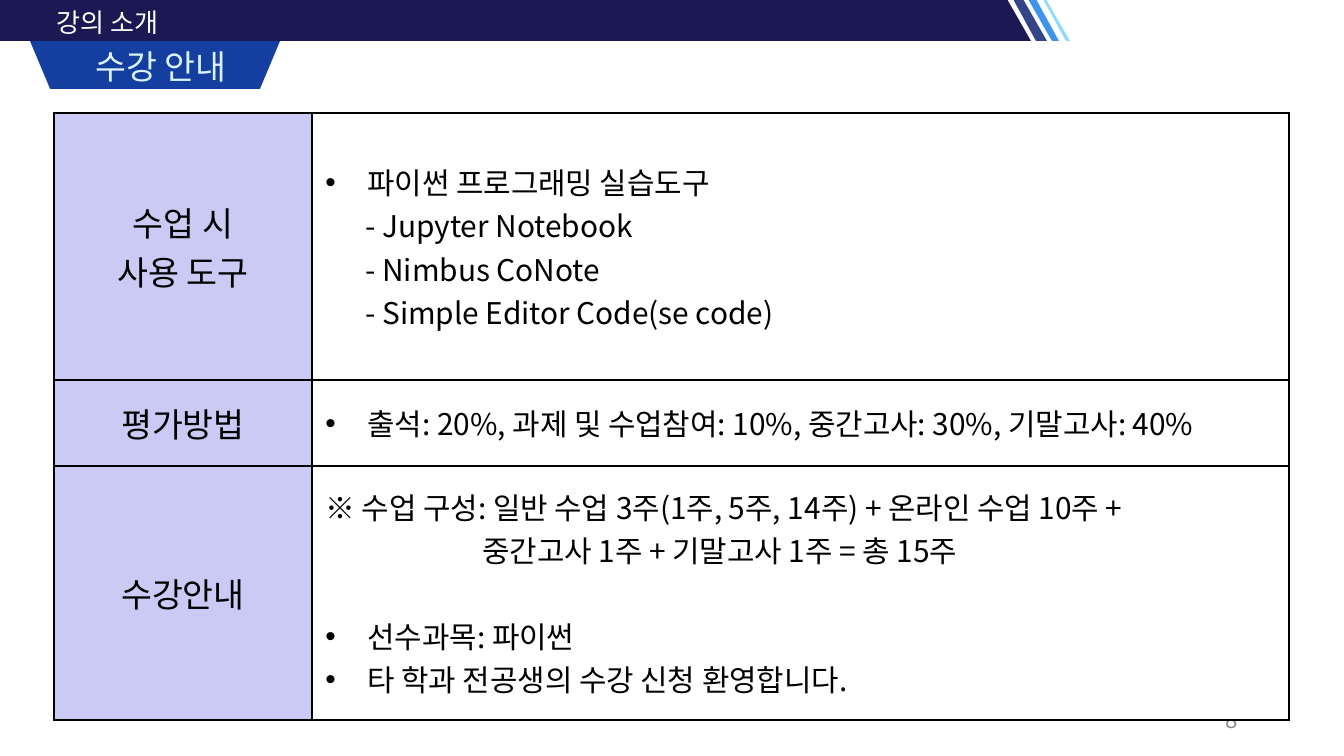
"""Build the course guide slide with its header and three-row table."""
from lxml import etree
from pptx import Presentation
from pptx.dml.color import RGBColor
from pptx.enum.shapes import MSO_SHAPE
from pptx.enum.text import MSO_ANCHOR, PP_ALIGN
from pptx.oxml.ns import qn
from pptx.util import Pt

PX = 914400 / 134.4
FONT = "Noto Sans CJK KR"
LEFT, MID, RIGHT = PP_ALIGN.LEFT, PP_ALIGN.CENTER, PP_ALIGN.RIGHT
CENTER = MSO_ANCHOR.MIDDLE
RECT, TRAP = MSO_SHAPE.RECTANGLE, MSO_SHAPE.TRAPEZOID
HEX = {
    "navy": "1B1853", "slate": "334587", "sky": "3E94EC", "ice": "8FDBFD",
    "blue": "143FA1", "pale": "DAF3FE", "lilac": "CACAF4",
    "white": "FFFFFF", "black": "000000", "gray": "8C8C8C",
}
INK = {name: RGBColor.from_string(code) for name, code in HEX.items()}


def px(num):
    return round(num * PX)


def write(para, text, size, ink, align=LEFT, indent=0, dot=False):
    para.text = text
    para.alignment = align
    props = para._p.get_or_add_pPr()
    if indent:
        props.set("marL", str(px(indent)))
        props.set("indent", str(px(-indent if dot else 0)))
    if dot:
        etree.SubElement(props, qn("a:buFont"), typeface="Arial")
        etree.SubElement(props, qn("a:buChar"), char="•")
    font = para.font
    font.size, font.name = Pt(size), FONT
    font.color.rgb = INK[ink]
    etree.SubElement(props.find(qn("a:defRPr")), qn("a:ea"), typeface=FONT)


deck = Presentation()
deck.slide_width, deck.slide_height = px(1344), px(756)
slide = deck.slides.add_slide(deck.slide_layouts[6])
shapes = slide.shapes

bar = shapes.add_shape(RECT, 0, px(-1), px(989), px(42))
parts = [(bar, "navy")]
stripes = [
    ("navy", 742, 1007, 1031, 742),
    ("slate", 1013, 1023, 1047, 1036),
    ("sky", 1028, 1036, 1059, 1052),
    ("ice", 1043, 1046, 1070, 1066),
]
for ink, start, end, low, back in stripes:
    path = shapes.build_freeform(start, -1, scale=PX)
    path.add_line_segments([(end, -1), (low, 41), (back, 41)])
    parts.append((path.convert_to_shape(), ink))
tab = shapes.add_shape(TRAP, px(30), px(41), px(250), px(48))
tab.rotation = 180
tab.adjustments[0] = 0.42
parts.append((tab, "blue"))
for part, ink in parts:
    part.shadow.inherit = False
    part.fill.solid()
    part.fill.fore_color.rgb = INK[ink]
    part.line.fill.background()

labels = [
    ("강의 소개", 43, 0, 129, 45, 14, "white", LEFT),
    ("8", 949, 700, 302, 40, 12, "gray", RIGHT),
    ("수강 안내", 82, 39, 175, 54, 18, "pale", LEFT),
]
for text, left, top, width, height, size, ink, align in labels:
    box = shapes.add_textbox(px(left), px(top), px(width), px(height))
    box.text_frame.word_wrap = align == RIGHT
    box.text_frame.vertical_anchor = CENTER
    write(box.text_frame.paragraphs[0], text, size, ink, align)

rows = [
    (267, ["수업 시", "사용 도구"], [
        ("파이썬 프로그래밍 실습도구", 42, True),
        ("- Jupyter Notebook", 40, False),
        ("- Nimbus CoNote", 40, False),
        ("- Simple Editor Code(se code)", 40, False),
    ]),
    (86, ["평가방법"], [
        ("출석: 20%, 과제 및 수업참여: 10%, 중간고사: 30%, 기말고사: 40%", 42, True),
    ]),
    (254, ["수강안내"], [
        ("※ 수업 구성: 일반 수업 3주(1주, 5주, 14주) + 온라인 수업 10주 +", 0, False),
        ("중간고사 1주 + 기말고사 1주 = 총 15주", 157, False),
        ("선수과목: 파이썬", 42, True),
        ("타 학과 전공생의 수강 신청 환영합니다.", 42, True),
    ]),
]
frame = shapes.add_table(3, 2, px(54), px(113), px(1235), px(607))
table = frame.table
table.columns[0].width, table.columns[1].width = px(258), px(977)
for row, (height, heads, notes) in enumerate(rows):
    table.rows[row].height = px(height)
    sides = [
        ([(head, 0, False) for head in heads], 18, MID, "lilac"),
        (notes, 16, LEFT, "white"),
    ]
    for col, (lines, size, align, back) in enumerate(sides):
        cell = table.cell(row, col)
        cell.vertical_anchor = CENTER
        body = cell.text_frame
        for num, (text, indent, dot) in enumerate(lines):
            para = body.add_paragraph() if num else body.paragraphs[0]
            if text.startswith("선수과목"):
                para.space_before = Pt(23)
            write(para, text, size, "black", align, indent, dot)
        props = cell._tc.get_or_add_tcPr()
        for side in ("lnL", "lnR", "lnT", "lnB"):
            edge = etree.SubElement(props, qn("a:" + side), w=str(Pt(1)))
            fill = etree.SubElement(edge, qn("a:solidFill"))
            etree.SubElement(fill, qn("a:srgbClr"), val=HEX["black"])
        cell.fill.solid()
        cell.fill.fore_color.rgb = INK[back]

deck.save("out.pptx")
